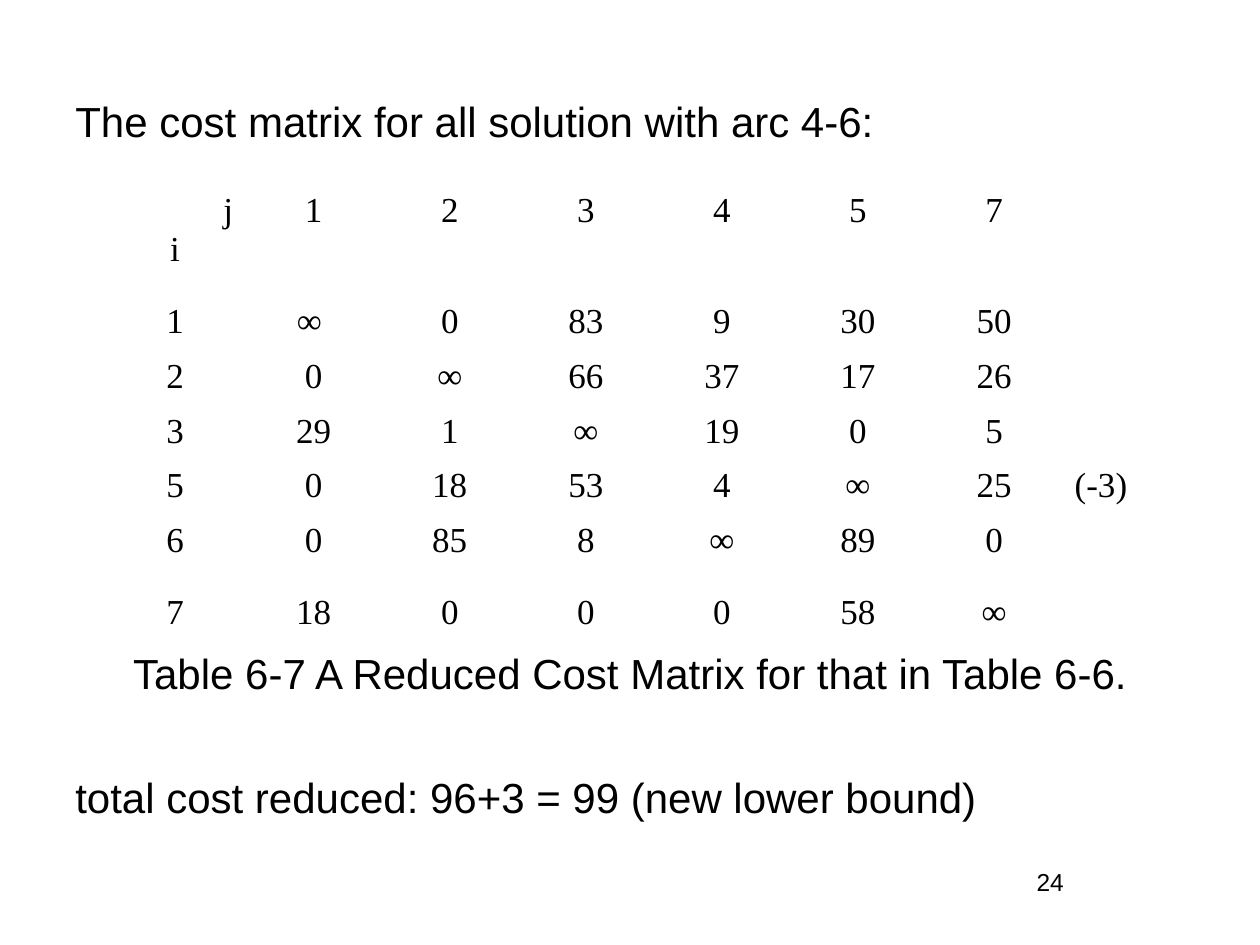
from pptx import Presentation
from pptx import util as u
from pptx.dml import color
from pptx.enum import text

presentation = Presentation()
presentation.slide_width, presentation.slide_height = u.Inches(10), u.Inches(7.5)
slide = presentation.slides.add_slide(presentation.slide_layouts[6])


def style(paragraph, font_name, size, alignment, ink="000000"):
    paragraph.alignment = alignment
    paragraph.font.name = font_name
    paragraph.font.size = u.Pt(size)
    paragraph.font.color.rgb = color.RGBColor.from_string(ink)


def add_text(left, top, width, height, lines, size):
    box = slide.shapes.add_textbox(*map(u.Inches, (left, top, width, height)))
    frame = box.text_frame
    frame.word_wrap = True
    frame.text = "\n".join(line for line, _, _ in lines)
    for paragraph, (_, alignment, gap) in zip(frame.paragraphs, lines):
        style(paragraph, "Arial", size, alignment)
        if gap:
            paragraph.space_before = u.Pt(gap)
    return frame


LEFT, CENTER, RIGHT = text.PP_ALIGN.LEFT, text.PP_ALIGN.CENTER, text.PP_ALIGN.RIGHT

body = add_text(0.5, 0.68, 9, 6.02, [
    ("The cost matrix for all solution with arc 4-6:", LEFT, 0),
    ("Table 6-7 A Reduced Cost Matrix for that in Table 6-6.", CENTER, 286.5),
    ("total cost reduced: 96+3 = 99 (new lower bound)", LEFT, 42),
], 24)
body.margin_top = u.Inches(0.08)

matrix = [
    ["j\ni", "1", "2", "3", "4", "5", "7", ""],
    ["1", "∞ ", "0", "83", "9", "30", "50", ""],
    ["2", "0", "∞", "66", "37", "17", "26", ""],
    ["3", "29", "1", "∞", "19", "0", "5", ""],
    ["5", "0", "18", "53", "4", "∞", "25", "(-3)"],
    ["6", "0", "85", "8", "∞", "89", "0", ""],
    ["7", "18", "0", "0", "0", "58", "∞", ""],
]
column_widths = [1.12] + [1.08] * 7
row_heights = [0.88] + [0.43] * 4 + [0.57] * 2

frame = slide.shapes.add_table(
    len(row_heights), len(column_widths), u.Inches(0.83), u.Inches(1.47),
    u.Inches(sum(column_widths)), u.Inches(sum(row_heights)))
table = frame.table
table.first_row = table.horz_banding = False
table._tbl.tblPr[0].text = "{2D5ABB26-0587-4C30-8999-92F81FD0307C}"
for column, width in zip(table.columns, column_widths):
    column.width = u.Inches(width)
for row, height, values in zip(table.rows, row_heights, matrix):
    row.height = u.Inches(height)
    for index, (cell, value) in enumerate(zip(row.cells, values)):
        cell.fill.background()
        cell.text = value
        for paragraph in cell.text_frame.paragraphs:
            style(paragraph, "Times New Roman", 20, LEFT if index == 7 else CENTER)
table.cell(0, 0).text_frame.paragraphs[0].alignment = RIGHT
table.cell(1, 7).merge(table.cell(3, 7))

add_text(7.17, 6.83, 2.33, 0.52, [("24", CENTER, 0)], 14)

presentation.save("out.pptx")
